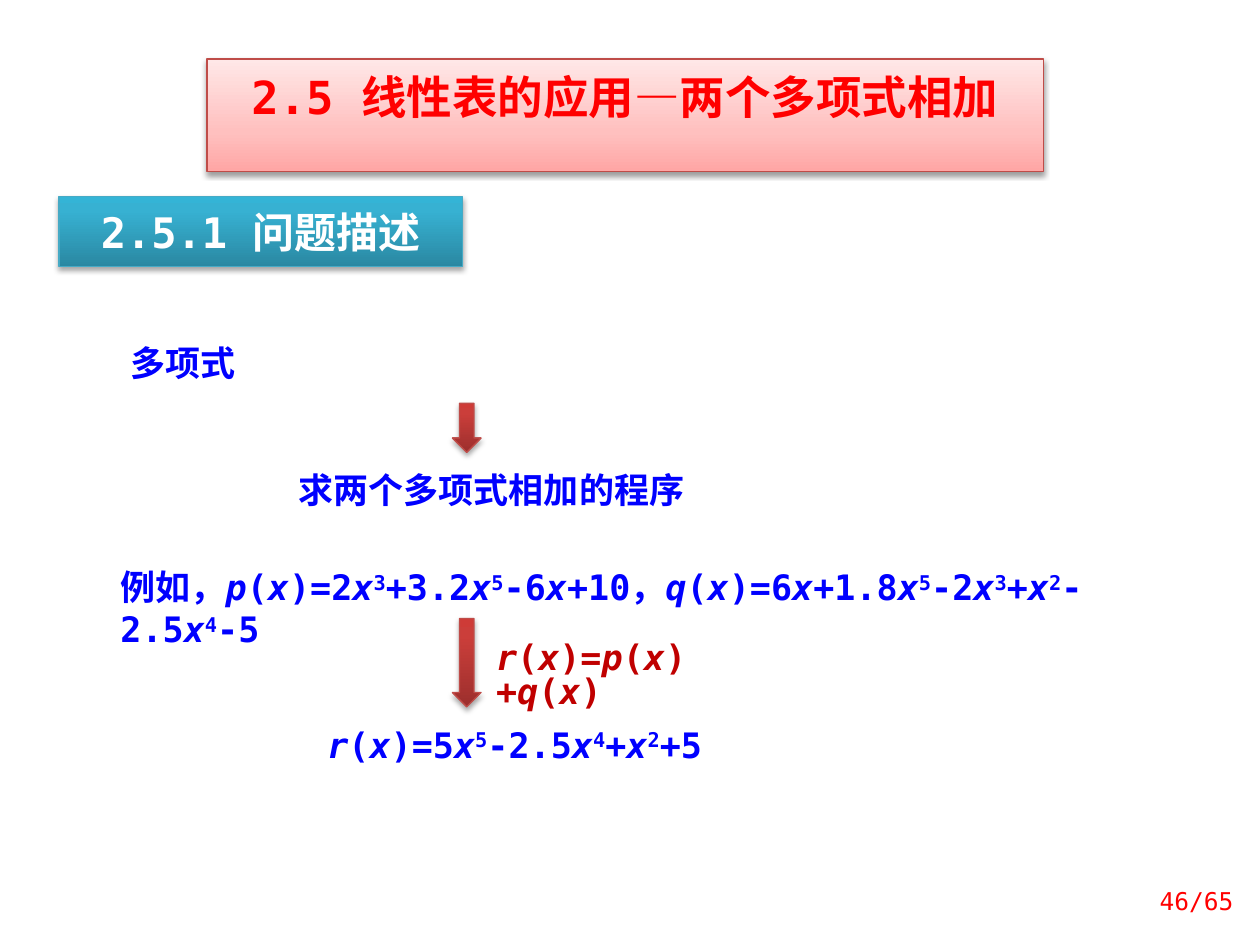
from dataclasses import dataclass
from itertools import groupby

from pptx import Presentation
from pptx import util as u
from pptx.dml.color import RGBColor
from pptx.enum import shapes, text
from pptx.oxml import parse_xml
from pptx.oxml.ns import nsdecls, qn

LATIN_FONT = "DejaVu Sans Mono"
CHINESE_FONT = "Noto Sans CJK SC"
VARIABLES = "pqrx"
BLUE, RED, DARK_RED, WHITE = "0000FF", "FF0000", "C00000", "FFFFFF"


@dataclass
class Area:
    left: float
    top: float
    width: float
    height: float

    def lengths(self):
        return [u.Cm(n) for n in (self.left, self.top, self.width, self.height)]


@dataclass
class Look:
    """Gradient stops run from the bottom edge to the top edge."""
    stops: list[tuple[int, str]]
    line: str
    shadow_alpha: int
    shadow_distance: float


@dataclass
class Label:
    area: Area
    words: str
    size: int = 20
    color: str = BLUE
    bold: bool = True
    align: text.PP_ALIGN = text.PP_ALIGN.LEFT
    anchor: text.MSO_ANCHOR = text.MSO_ANCHOR.TOP
    inset: float = 0.13
    line_spacing: float = 1.0
    font: str = LATIN_FONT
    fit: text.MSO_AUTO_SIZE = text.MSO_AUTO_SIZE.SHAPE_TO_FIT_TEXT


PINK = Look([(0, "FFA6A5"), (35, "FFC0BF"), (100, "FFE7E7")], "BF4C48", 38, 1.6)
TEAL = Look([(0, "2A88A2"), (80, "37B1D2"), (100, "34B4D6")], "46AAC5", 35, 1.8)
BRICK = Look([(0, "9C2F2D"), (80, "CB3E3A"), (100, "CE3B37")], "BF4C48", 35, 1.8)

CENTER = text.PP_ALIGN.CENTER
TITLE = Label(Area(4.17, 1.19, 16.87, 1.52), "2.5 线性表的应用—两个多项式相加",
              26, RED, align=CENTER, inset=0.2)
SECTION = Label(Area(1.19, 3.96, 8.13, 1.42), "2.5.1 问题描述",
                24, WHITE, align=CENTER, inset=0.2)
# A caret raises the digit after it.
LABELS = [
    Label(Area(2.39, 6.76, 3.38, 1.12), "多项式"),
    Label(Area(5.77, 9.32, 9.32, 1.12), "求两个多项式相加的程序", font=CHINESE_FONT),
    Label(Area(2.18, 11.28, 21.82, 1.12),
          "例如，p(x)=2x^3+3.2x^5-6x+10，q(x)=6x+1.8x^5-2x^3+x^2-2.5x^4-5"),
    Label(Area(6.35, 14.45, 9.73, 1.12), "r(x)=5x^5-2.5x^4+x^2+5"),
    Label(Area(9.75, 12.85, 5.56, 0.94), "r(x)=p(x)+q(x)", color=DARK_RED, line_spacing=0.8),
    Label(Area(22.81, 17.65, 2.31, 1.02), "46/65", 14, RED, bold=False,
          align=text.PP_ALIGN.RIGHT, anchor=text.MSO_ANCHOR.MIDDLE,
          fit=text.MSO_AUTO_SIZE.NONE),
]
ARROWS = [Area(9.12, 8.13, 0.58, 0.99), Area(9.12, 12.47, 0.58, 1.78)]


def rgb(value: str) -> RGBColor:
    return RGBColor.from_string(value)


def assign(target, values: dict) -> None:
    for name, value in values.items():
        setattr(target, name, value)


def place(shape, area: Area) -> None:
    assign(shape, dict(zip(("left", "top", "width", "height"), area.lengths())))


def dress(shape, look: Look) -> None:
    """Give the shape its gradient, outline and soft shadow."""
    shape.fill.gradient()
    shape.fill.gradient_angle = 90
    stops = "".join(f'<a:gs pos="{pos * 1000}"><a:srgbClr val="{color}"/></a:gs>'
                    for pos, color in look.stops)
    properties = shape.element.spPr
    gradient = properties.find(qn("a:gradFill"))
    gradient.replace(gradient.find(qn("a:gsLst")),
                     parse_xml(f'<a:gsLst {nsdecls("a")}>{stops}</a:gsLst>'))
    shape.line.color.rgb = rgb(look.line)
    shape.line.width = u.Pt(0.75)
    shape.shadow.inherit = False
    properties.find(qn("a:effectLst")).append(parse_xml(
        f'<a:outerShdw {nsdecls("a")} blurRad="{u.Pt(3.1)}"'
        f' dist="{u.Pt(look.shadow_distance)}" dir="5400000" rotWithShape="0">'
        f'<a:srgbClr val="000000"><a:alpha val="{look.shadow_alpha * 1000}"/>'
        '</a:srgbClr></a:outerShdw>'))


def split_formula(words: str) -> list[tuple[str, bool, bool]]:
    """Return pieces of text, each with its italic and raised flags."""
    marked = [(char, char in VARIABLES, before == "^")
              for before, char in zip(" " + words, words) if char != "^"]
    return [("".join(item[0] for item in group), *flags)
            for flags, group in groupby(marked, key=lambda item: item[1:])]


def write(shape, label: Label) -> None:
    frame = shape.text_frame
    assign(frame, {
        "word_wrap": True, "auto_size": label.fit, "vertical_anchor": label.anchor,
        "margin_left": u.Cm(0.25), "margin_right": u.Cm(0.25),
        "margin_top": u.Cm(label.inset), "margin_bottom": u.Cm(label.inset),
    })
    para = frame.paragraphs[0]
    assign(para, {"alignment": label.align, "line_spacing": label.line_spacing})
    for words, italic, raised in split_formula(label.words):
        span = para.add_run()
        span.text = words
        assign(span.font, {"name": label.font, "size": u.Pt(label.size),
                           "bold": label.bold, "italic": italic})
        span.font.color.rgb = rgb(label.color)
        properties = span.font._element
        properties.find(qn("a:latin")).addnext(
            parse_xml(f'<a:ea {nsdecls("a")} typeface="{CHINESE_FONT}"/>'))
        if raised:
            properties.set("baseline", "30000")


def main() -> None:
    deck = Presentation()
    assign(deck, {"slide_width": u.Cm(25.4), "slide_height": u.Cm(19.05)})
    page = deck.slides.add_slide(deck.slide_layouts.get_by_name("Title Only"))

    title = page.shapes.title
    place(title, TITLE.area)
    dress(title, PINK)
    write(title, TITLE)

    section = page.shapes.add_shape(shapes.MSO_SHAPE.RECTANGLE, *SECTION.area.lengths())
    dress(section, TEAL)
    write(section, SECTION)

    for label in LABELS:
        write(page.shapes.add_textbox(*label.area.lengths()), label)
    for area in ARROWS:
        dress(page.shapes.add_shape(shapes.MSO_SHAPE.DOWN_ARROW, *area.lengths()), BRICK)

    deck.save("out.pptx")


if __name__ == "__main__":
    main()
